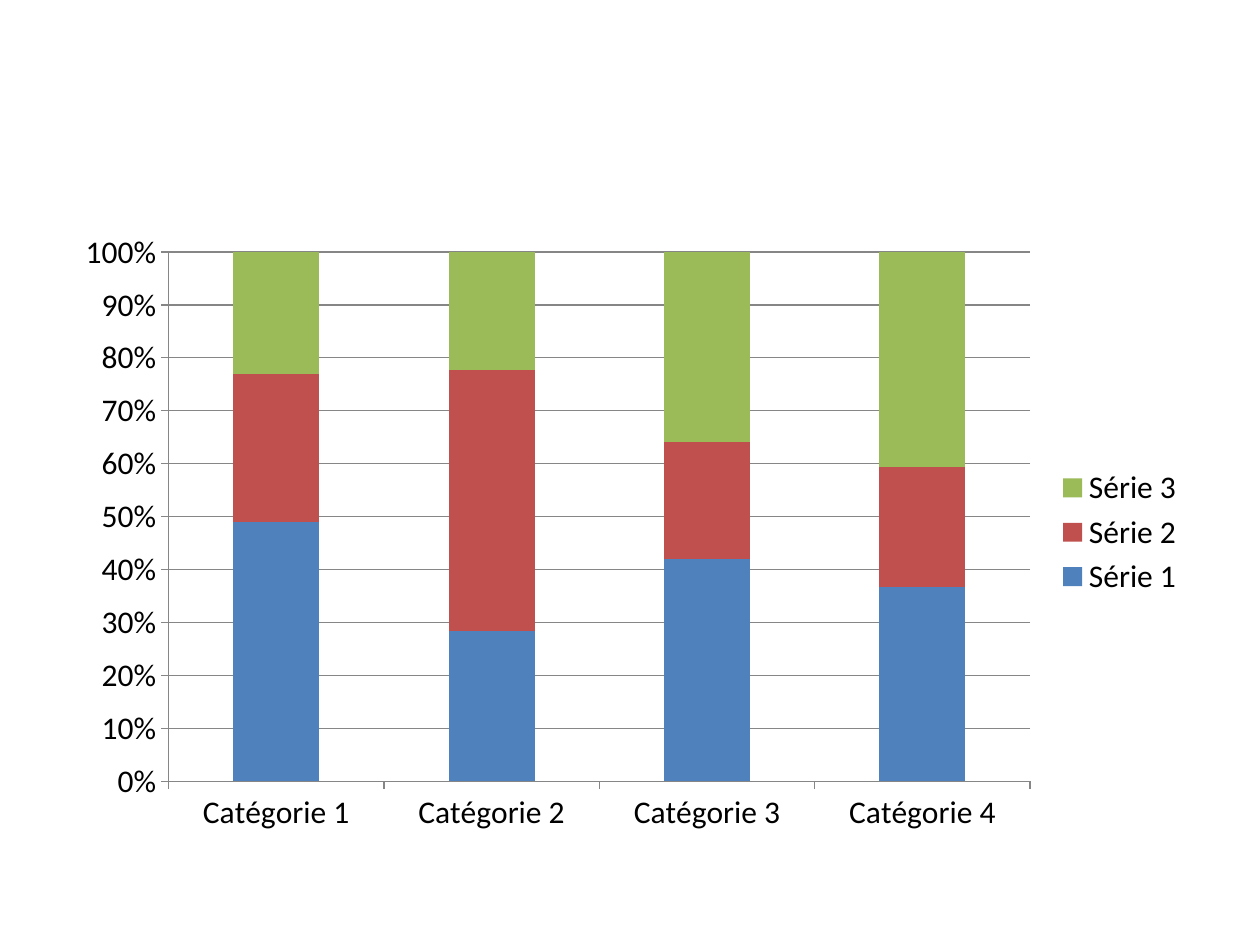
"""Build a slide with a 100% stacked column chart of three series."""
from pptx import Presentation
from pptx.chart.data import CategoryChartData
from pptx.dml.color import RGBColor
from pptx.enum.chart import XL_CHART_TYPE as ChartType
from pptx.enum.chart import XL_LEGEND_POSITION as LegendPosition
from pptx.enum.chart import XL_TICK_MARK as TickMark
from pptx.util import Inches, Pt

BLACK = RGBColor(0x00, 0x00, 0x00)
GRAY = RGBColor(0x86, 0x86, 0x86)
BLUE = RGBColor(0x4F, 0x81, 0xBD)
RED = RGBColor(0xC0, 0x50, 0x4D)
GREEN = RGBColor(0x9B, 0xBB, 0x59)

CATEGORIES = [f"Catégorie {number}" for number in range(1, 5)]
SERIES = [
    ("Série 1", (49, 28, 42, 37), BLUE),
    ("Série 2", (28, 49, 22, 23), RED),
    ("Série 3", (23, 22, 36, 41), GREEN),
]


def apply(target, formats):
    for name, value in formats.items():
        setattr(target, name, value)


class SlideBuilder:
    font = {"name": "Calibri", "size": Pt(18)}
    plot = {"gap_width": 150, "overlap": 100, "vary_by_categories": False}
    axis = {"major_tick_mark": TickMark.OUTSIDE, "minor_tick_mark": TickMark.NONE}
    scale = {"minimum_scale": 0, "maximum_scale": 1, "major_unit": 0.1,
             "has_major_gridlines": True}
    percent = {"number_format": "0%", "number_format_is_linked": False}
    legend = {"position": LegendPosition.RIGHT, "include_in_layout": False}

    def __init__(self, presentation):
        self.slide = presentation.slides.add_slide(presentation.slide_layouts[6])

    def style_line(self, line):
        line.color.rgb = GRAY
        line.width = Pt(0.75)

    def add_stacked_chart(self, left, top, width, height):
        data = CategoryChartData()
        data.categories = CATEGORIES
        for name, values, _ in SERIES:
            data.add_series(name, values)
        chart = self.slide.shapes.add_chart(
            ChartType.COLUMN_STACKED_100,
            Inches(left), Inches(top), Inches(width), Inches(height), data,
        ).chart
        apply(chart, {"has_title": False, "has_legend": True})
        apply(chart.font, self.font)
        chart.font.color.rgb = BLACK
        apply(chart.legend, self.legend)
        apply(chart.plots[0], self.plot)
        for series, (_, _, color) in zip(chart.plots[0].series, SERIES):
            series.format.fill.solid()
            series.format.fill.fore_color.rgb = color
        for axis in (chart.category_axis, chart.value_axis):
            apply(axis, self.axis)
            self.style_line(axis.format.line)
        apply(chart.value_axis, self.scale)
        apply(chart.value_axis.tick_labels, self.percent)
        self.style_line(chart.value_axis.major_gridlines.format.line)


def main():
    presentation = Presentation()
    apply(presentation, {"slide_width": Inches(10), "slide_height": Inches(7.5)})
    SlideBuilder(presentation).add_stacked_chart(0.5, 1.75, 9, 4.95)
    presentation.save("out.pptx")


if __name__ == "__main__":
    main()
